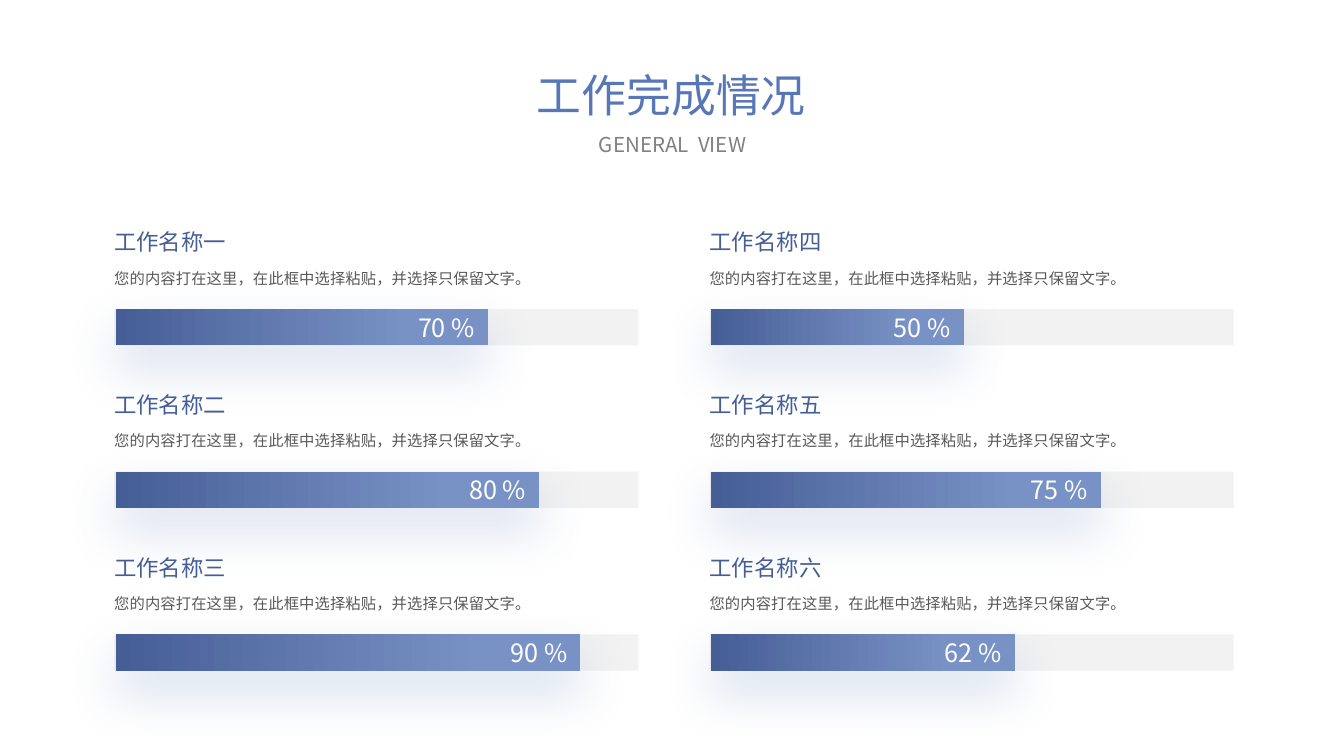
from lxml import etree
from pptx import Presentation
from pptx.dml.color import RGBColor
from pptx.enum.shapes import MSO_SHAPE
from pptx.enum.text import MSO_ANCHOR, MSO_AUTO_SIZE, PP_ALIGN
from pptx.oxml.ns import qn
from pptx.util import Inches, Pt

RECT = MSO_SHAPE.RECTANGLE
TOP, MIDDLE = MSO_ANCHOR.TOP, MSO_ANCHOR.MIDDLE
LEFT, CENTER, RIGHT = PP_ALIGN.LEFT, PP_ALIGN.CENTER, PP_ALIGN.RIGHT
JUSTIFY = PP_ALIGN.JUSTIFY
NO_FIT = MSO_AUTO_SIZE.NONE

FONT = "Noto Sans CJK SC"
COLORS = {
    "navy": "465E96",
    "sky": "7992C5",
    "blue": "5877B6",
    "track": "BFBFBF",
    "body": "595959",
    "subtitle": "808080",
    "white": "FFFFFF",
}
BAR_STOPS = (("navy", 0), ("sky", 0.79))
TITLE_STOPS = (("blue", 0), ("navy", 1))
DOWN = 270

DESCRIPTION = "您的内容打在这里，在此框中选择粘贴，并选择只保留文字。"
COLUMNS = [
    [("工作名称一", "70 %", 2.77), ("工作名称二", "80 %", 3.15), ("工作名称三", "90 %", 3.46)],
    [("工作名称四", "50 %", 1.88), ("工作名称五", "75 %", 2.9), ("工作名称六", "62 %", 2.26)],
]
GRID_LEFT, GRID_TOP = 0.85, 1.7
COLUMN_STEP, ROW_STEP = 4.43, 1.21
TASK_WIDTH, BAR_HEIGHT = 3.9, 0.27


def rgb(name):
    return RGBColor.from_string(COLORS[name])


def box(x, y, w, h):
    return Inches(x), Inches(y), Inches(w), Inches(h)


def set_gradient(fill, stops, angle):
    fill.gradient()
    fill.gradient_angle = angle
    for stop, (color, position) in zip(fill.gradient_stops, stops):
        stop.color.rgb = rgb(color)
        stop.position = position


def set_alpha(color, percent):
    etree.SubElement(color, qn("a:alpha"), val=str(percent * 1000))


def add_shadow(sp):
    effects = sp.element.spPr.find(qn("a:effectLst"))
    shadow = etree.SubElement(
        effects, qn("a:outerShdw"), blurRad=str(Pt(27)), dist=str(Pt(12)),
        dir=str(90 * 60000), algn="t", rotWithShape="0")
    color = etree.SubElement(shadow, qn("a:srgbClr"), val=COLORS["blue"])
    set_alpha(color, 23)


def write(sp, text, size, color=None, stops=None, align=LEFT, anchor=TOP,
          inset_x=0, inset_y=0, spacing=None, wrap=True):
    tf = sp.text_frame
    tf.auto_size = NO_FIT
    tf.word_wrap = wrap
    tf.vertical_anchor = anchor
    tf.margin_left = tf.margin_right = Inches(inset_x)
    tf.margin_top = tf.margin_bottom = Inches(inset_y)
    p = tf.paragraphs[0]
    p.alignment = align
    if spacing:
        p.line_spacing = spacing
    r = p.add_run()
    r.text = text
    r.font.size = Pt(size)
    r.font.name = FONT
    if stops:
        set_gradient(r.font.fill, stops, DOWN)
    else:
        r.font.color.rgb = rgb(color)
    etree.SubElement(r.font._element, qn("a:ea"), typeface=FONT)


def add_rect(s, x, y, w, h):
    sp = s.shapes.add_shape(RECT, *box(x, y, w, h))
    sp.shadow.inherit = False
    sp.line.fill.background()
    return sp


def add_header(s, x, y, w):
    title = s.shapes.title
    title.left, title.top, title.width, title.height = box(x, y, w, 0.5)
    write(title, "工作完成情况", 24, stops=TITLE_STOPS, align=CENTER,
          inset_x=0.1, inset_y=0.05)
    subtitle = s.shapes.add_textbox(*box(x + 0.29, y + 0.48, w - 0.56, 0.29))
    write(subtitle, "GENERAL  VIEW", 11, "subtitle", align=CENTER,
          inset_x=0.1, inset_y=0.05)


def add_progress(s, x, y, w, value, bar_width):
    track = add_rect(s, x, y, w, BAR_HEIGHT)
    track.fill.solid()
    track.fill.fore_color.rgb = rgb("track")
    set_alpha(track.element.spPr.find(".//" + qn("a:srgbClr")), 20)
    bar = add_rect(s, x + 0.01, y, bar_width, BAR_HEIGHT)
    set_gradient(bar.fill, BAR_STOPS, 0)
    add_shadow(bar)
    write(bar, value, 13.5, "white", align=RIGHT, anchor=MIDDLE, inset_x=0.1)


def add_task(s, x, y, w, name, value, bar_width):
    add_progress(s, x, y + 0.6, w, value, bar_width)
    heading = s.shapes.add_textbox(*box(x, y, 0.84, 0.2))
    write(heading, name, 12, stops=BAR_STOPS, anchor=MIDDLE, wrap=False)
    body = s.shapes.add_textbox(*box(x, y + 0.26, w, 0.16))
    write(body, DESCRIPTION, 8.25, "body", align=JUSTIFY, spacing=1.3)


def main():
    prs = Presentation()
    prs.slide_width = Inches(10)
    prs.slide_height = prs.slide_width * 9 // 16
    s = prs.slides.add_slide(prs.slide_layouts[5])
    add_header(s, 3.7, 0.45, 2.59)
    for col, tasks in enumerate(COLUMNS):
        for row, task in enumerate(tasks):
            add_task(s, GRID_LEFT + col * COLUMN_STEP, GRID_TOP + row * ROW_STEP,
                     TASK_WIDTH, *task)
    prs.save("out.pptx")


if __name__ == "__main__":
    main()
